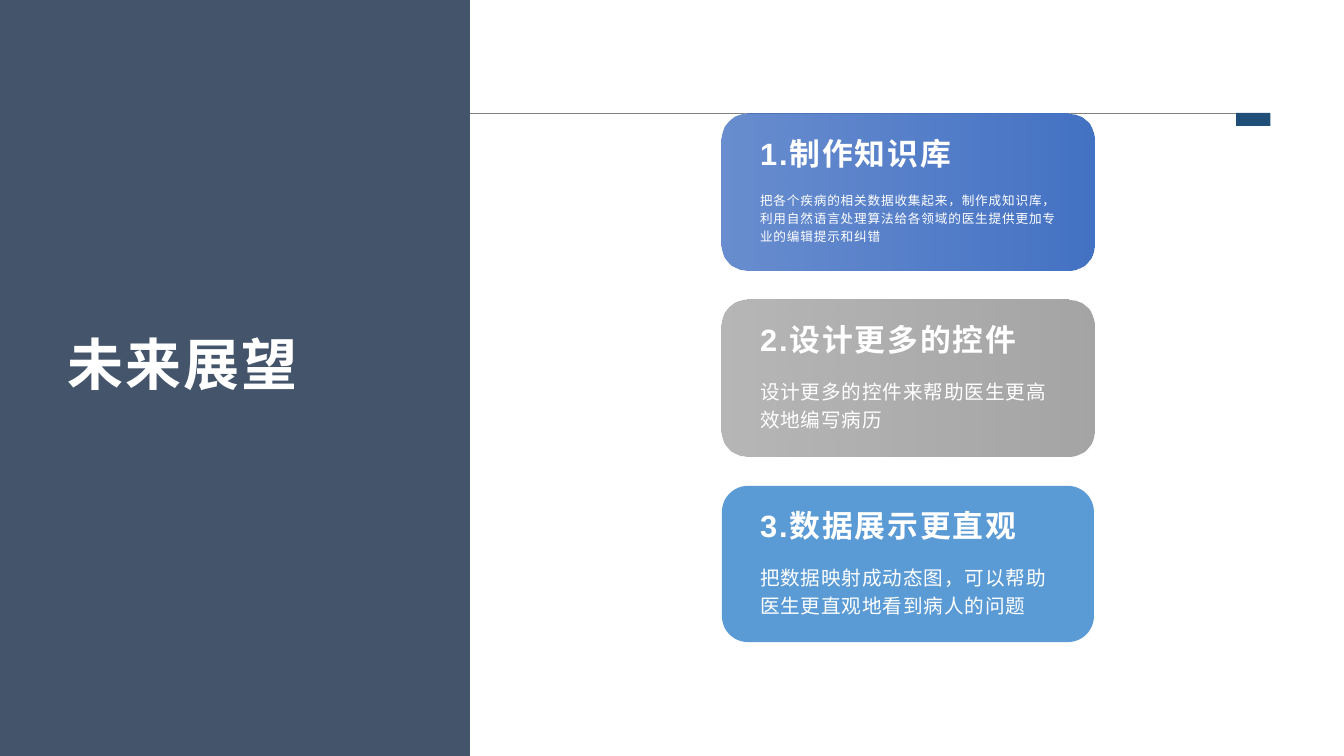
"""Build the outlook slide: a dark title panel beside three rounded cards."""
from dataclasses import dataclass

from lxml import etree
from pptx import Presentation
from pptx.dml.color import RGBColor
from pptx.enum.shapes import MSO_CONNECTOR, MSO_SHAPE
from pptx.enum.text import MSO_ANCHOR, MSO_AUTO_SIZE, PP_ALIGN
from pptx.oxml.ns import qn
from pptx.util import Inches, Pt

RECTANGLE, ROUNDED = MSO_SHAPE.RECTANGLE, MSO_SHAPE.ROUNDED_RECTANGLE
STRAIGHT = MSO_CONNECTOR.STRAIGHT
TOP, BOTTOM = MSO_ANCHOR.TOP, MSO_ANCHOR.BOTTOM
LEFT, NO_FIT = PP_ALIGN.LEFT, MSO_AUTO_SIZE.NONE


@dataclass(frozen=True)
class Theme:
    panel: str = "44546A"
    rule: str = "808080"
    tab: str = "1F4E79"
    text: str = "FFFFFF"
    latin: str = "Arial"
    chinese: str = "Noto Sans CJK SC"
    title_size: int = 40
    heading_size: int = 22
    detail_size: int = 14
    small_size: int = 9


theme = Theme()


def write(holder, text, size, *, font=theme.latin, bold=False, tracking=0.6,
          anchor=TOP, inset=(0.1, 0.05), line_spacing=None, after=0):
    """Put one formatted paragraph into a text box or placeholder."""
    frame = holder.text_frame
    frame.word_wrap = True
    frame.auto_size = NO_FIT
    frame.vertical_anchor = anchor
    frame.margin_left = frame.margin_right = Inches(inset[0])
    frame.margin_top = frame.margin_bottom = Inches(inset[1])
    paragraph = frame.paragraphs[0]
    paragraph.alignment = LEFT
    paragraph.space_after = Pt(after)
    if line_spacing:
        paragraph.line_spacing = line_spacing
    run = paragraph.add_run()
    run.text = text
    run.font.size = Pt(size)
    run.font.bold = bold
    run.font.color.rgb = RGBColor.from_string(theme.text)
    run.font.name = font
    properties = run.font._element
    properties.set("spc", str(round(tracking * 100)))
    latin = properties.find(qn("a:latin"))
    east_asian = etree.Element(qn("a:ea"), typeface=theme.chinese)
    latin.addnext(east_asian)


def block(kind, left, top, width, height, color, fade=False):
    """Draw a borderless shape, optionally fading in from 80% opacity."""
    shape = shapes.add_shape(kind, Inches(left), Inches(top), Inches(width), Inches(height))
    shape.shadow.inherit = False
    shape.line.fill.background()
    rgb = RGBColor.from_string(color)
    if not fade:
        shape.fill.solid()
        shape.fill.fore_color.rgb = rgb
        return
    shape.fill.gradient()
    shape.fill.gradient_angle = 0
    for stop in shape.fill.gradient_stops:
        stop.color.rgb = rgb
    first_color = next(shape._element.iter(qn("a:srgbClr")))
    etree.SubElement(first_color, qn("a:alpha"), val="80000")


deck = Presentation()
deck.slide_width, deck.slide_height = Inches(13.33), Inches(7.5)
slide = deck.slides.add_slide(deck.slide_layouts[5])
shapes = slide.shapes

panel_width = 4.66
rule_top, rule_end = 1.12, 12.6
tab_width, tab_height = 0.34, 0.13

block(RECTANGLE, 0, 0, panel_width, 7.5, theme.panel)
rule = shapes.add_connector(STRAIGHT, Inches(panel_width), Inches(rule_top),
                            Inches(rule_end), Inches(rule_top))
rule.line.color.rgb = RGBColor.from_string(theme.rule)
rule.line.width = Pt(0.25)
etree.SubElement(rule._element.spPr, qn("a:effectLst"))
block(RECTANGLE, rule_end - tab_width, rule_top, tab_width, tab_height, theme.tab)

title = shapes.title
title.left, title.top = Inches(0.6), Inches(3.14)
title.width, title.height = Inches(3.67), Inches(0.83)
write(title, "未来展望", theme.title_size, font=theme.chinese, bold=True,
      tracking=1.6, anchor=BOTTOM, inset=(0.07, 0.03))
title.element.getparent().append(title.element)

card_left, card_top, card_width, card_height = 7.16, 1.13, 3.69, 1.55
card_pitch, card_padding = 1.845, 0.28
text_left, text_width = card_left + card_padding, card_width - 2 * card_padding

cards = [
    ("制作知识库",
     "把各个疾病的相关数据收集起来，制作成知识库，利用自然语言处理算法给各领域的医生提供更加专业的编辑提示和纠错",
     theme.small_size, "4472C4", True),
    ("设计更多的控件", "设计更多的控件来帮助医生更高效地编写病历",
     theme.detail_size, "A5A5A5", True),
    ("数据展示更直观", "把数据映射成动态图，可以帮助医生更直观地看到病人的问题",
     theme.detail_size, "5B9BD5", False),
]

for row, (heading, detail, detail_size, color, fade) in enumerate(cards):
    top = card_top + row * card_pitch
    block(ROUNDED, card_left, top, card_width, card_height, color, fade)
    heading_box = shapes.add_textbox(Inches(text_left), Inches(top + 0.16),
                                     Inches(text_width), Inches(0.51))
    write(heading_box, f"{row + 1}.{heading}", theme.heading_size, bold=True, tracking=1.4)
    detail_box = shapes.add_textbox(Inches(text_left), Inches(top + 0.7),
                                    Inches(text_width), Inches(0.69))
    write(detail_box, detail, detail_size, line_spacing=1.2, after=8)

deck.save("out.pptx")
